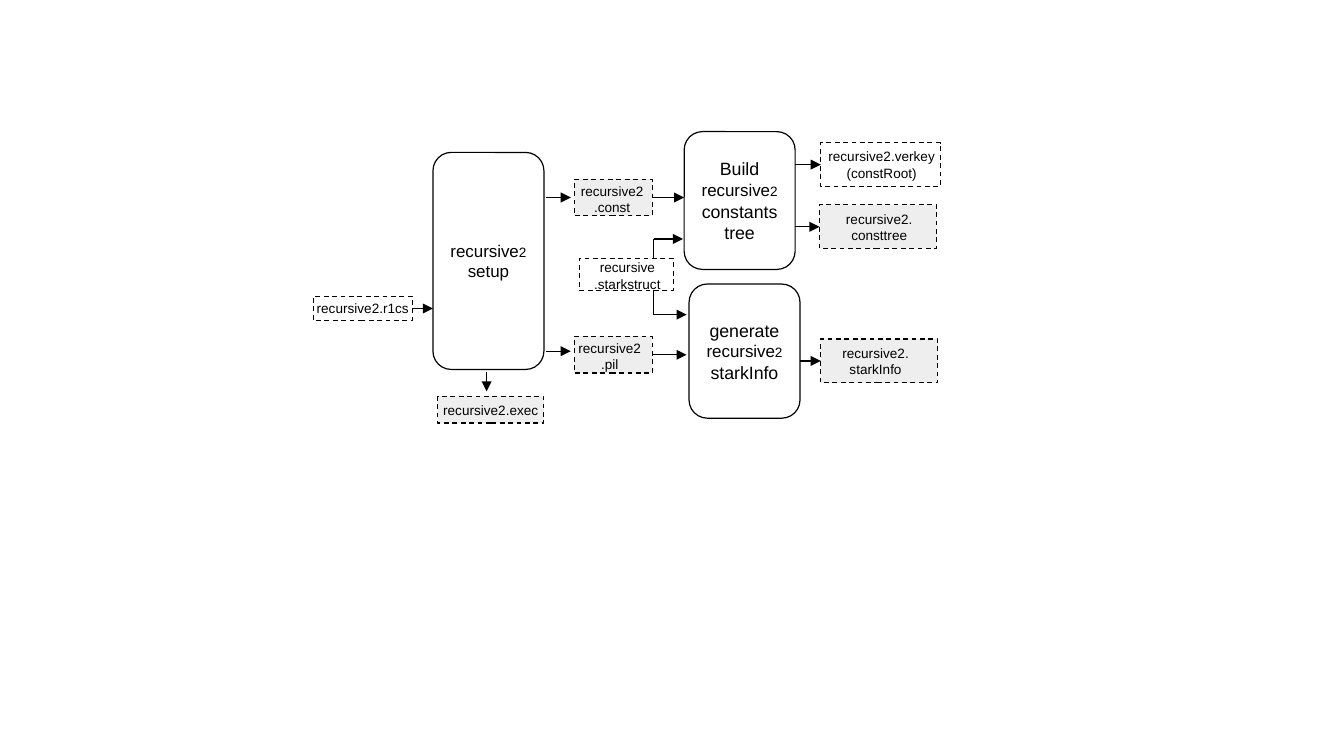
from lxml.etree import SubElement
from pptx import Presentation
from pptx.dml.color import RGBColor
from pptx.enum.dml import MSO_LINE
from pptx.enum.shapes import MSO_CONNECTOR as CONN, MSO_SHAPE as SHAPE
from pptx.enum.text import MSO_ANCHOR as ANCHOR, PP_ALIGN as ALIGN
from pptx.oxml.ns import qn
from pptx.util import Inches, Pt

BLACK = RGBColor(0x00, 0x00, 0x00)
WHITE = RGBColor(0xFF, 0xFF, 0xFF)
GREY = RGBColor(0xEE, 0xEE, 0xEE)
LINE_W = Pt(0.71)
STAGE_W = 0.91
RADIUS = 0.15
RIGHT, LEFT = 3, 1


def write(tf, lines, side=0.1):
    """Each line is a list of (text, size) runs."""
    tf.word_wrap = True
    tf.vertical_anchor = ANCHOR.MIDDLE
    tf.margin_left = tf.margin_right = Inches(side)
    for i, runs in enumerate(lines):
        p = tf.paragraphs[0] if i == 0 else tf.add_paragraph()
        p.alignment = ALIGN.CENTER
        for text, size in runs:
            r = p.add_run()
            r.text = text
            r.font.name, r.font.size = "Arial", Pt(size)
            r.font.color.rgb = BLACK


def outline(slide, kind, x, y, w, h, fill):
    sp = slide.shapes.add_shape(kind, *map(Inches, (x, y, w, h)))
    sp.shadow.inherit = False
    if fill is None:
        sp.fill.background()
    else:
        sp.fill.solid()
        sp.fill.fore_color.rgb = fill
    sp.line.color.rgb, sp.line.width = BLACK, LINE_W
    return sp


def stage(slide, x, y, h, lines):
    sp = outline(slide, SHAPE.ROUNDED_RECTANGLE, x, y, STAGE_W, h, WHITE)
    sp.adjustments[0] = RADIUS / STAGE_W
    write(sp.text_frame, lines, side=0.04)


def file_box(slide, x, y, w, h, lines, fill=None, dx=0, dy=0, label_w=1.1):
    """Dashed box with a label whose centre is shifted by dx, dy."""
    sp = outline(slide, SHAPE.RECTANGLE, x, y, w, h, fill)
    sp.line.dash_style = MSO_LINE.DASH
    label_h = 0.1 + 0.125 * len(lines)
    tb = slide.shapes.add_textbox(
        Inches(x + (w - label_w) / 2 + dx), Inches(y + (h - label_h) / 2 + dy),
        Inches(label_w), Inches(label_h))
    write(tb.text_frame, [[(text, 8)] for text in lines])
    return sp


def line(slide, x1, y1, x2, y2, head=True, start=None, end=None):
    c = slide.shapes.add_connector(CONN.STRAIGHT, *map(Inches, (x1, y1, x2, y2)))
    if start is not None:
        c.begin_connect(start, RIGHT)
    if end is not None:
        c.end_connect(end, LEFT)
    c.line.color.rgb, c.line.width = BLACK, LINE_W
    if head:
        SubElement(c.line._get_or_add_ln(), qn("a:tailEnd"), type="triangle")
    SubElement(c._element.spPr, qn("a:effectLst"))


def setup_region(slide, x, y, h):
    stage(slide, x, y, h, [[("recursive", 10), ("2", 8)], [("setup", 10)]])
    # Input file
    r1cs = file_box(slide, x - 0.98, y + 1.18, 0.81, 0.2, ["recursive2.r1cs"])
    line(slide, x - 0.17, y + 1.28, x, y + 1.28, start=r1cs)
    # Executable below
    file_box(slide, x + 0.04, y + h + 0.22, 0.87, 0.22, ["recursive2.exec"], GREY)
    line(slide, x + 0.44, y + h + 0.02, x + 0.44, y + h + 0.18)
    # Arrows to the shared files
    for dy in (0.37, 1.63):
        line(slide, x + 0.93, y + dy, x + 1.13, y + dy)


def shared_region(slide, x, y):
    # Files handed from the setup to the two later stages
    for dy, suffix, dx, tip in ((0, ".const", -0.01, 0.9),
                                (1.29, ".pil", -0.03, 0.92)):
        box = file_box(slide, x, y + dy, 0.64, 0.3, ["recursive2", suffix],
                       GREY, dx=dx, dy=0.01, label_w=0.86)
        line(slide, x + 0.64, y + dy + 0.15, x + tip, y + dy + 0.15, start=box)
    # Structure file, with bent arrows up and down
    file_box(slide, x + 0.04, y + 0.65, 0.77, 0.26,
             ["recursive", ".starkstruct"], dx=0.01, dy=0.01, label_w=1.2)
    for edge, turn, tip in ((0.65, 0.49, 0.89), (0.91, 1.11, 0.92)):
        line(slide, x + 0.65, y + edge, x + 0.65, y + turn, head=False)
        line(slide, x + 0.65, y + turn, x + tip, y + turn)


def output_region(slide, x, y, h, lines, outputs):
    """A stage with its output files on the right."""
    stage(slide, x, y, h, lines)
    for dx, dy, w, text, fill, shift in outputs:
        box = file_box(slide, x + dx, y + dy, w, 0.36, text, fill, dx=shift)
        mid = y + dy + 0.18
        line(slide, x + STAGE_W, mid, x + dx, mid, end=box)


def main():
    prs = Presentation()
    prs.slide_width, prs.slide_height = Inches(11.02), Inches(6.2)
    slide = prs.slides.add_slide(prs.slide_layouts[6])

    setup_region(slide, 3.55, 1.25, 1.78)
    output_region(
        slide, 5.61, 1.08, 1.13,
        [[("Build", 10.5)],
         [("recursive", 10), ("2", 8), (" constants tree", 10.5)]],
        [(1.12, 0.09, 0.98, ["recursive2.verkey", "(constRoot)"], WHITE, 0.01),
         (1.11, 0.6, 0.96, ["recursive2.", "consttree"], GREY, 0.01)])
    output_region(
        slide, 5.65, 2.33, 1.1,
        [[("generate", 10.5)], [("recursive", 10), ("2", 8)],
         [("starkInfo", 10.5)]],
        [(1.08, 0.45, 0.96, ["recursive2.", "starkInfo"], GREY, -0.03)])
    shared_region(slide, 4.71, 1.47)

    prs.save("out.pptx")


if __name__ == "__main__":
    main()
